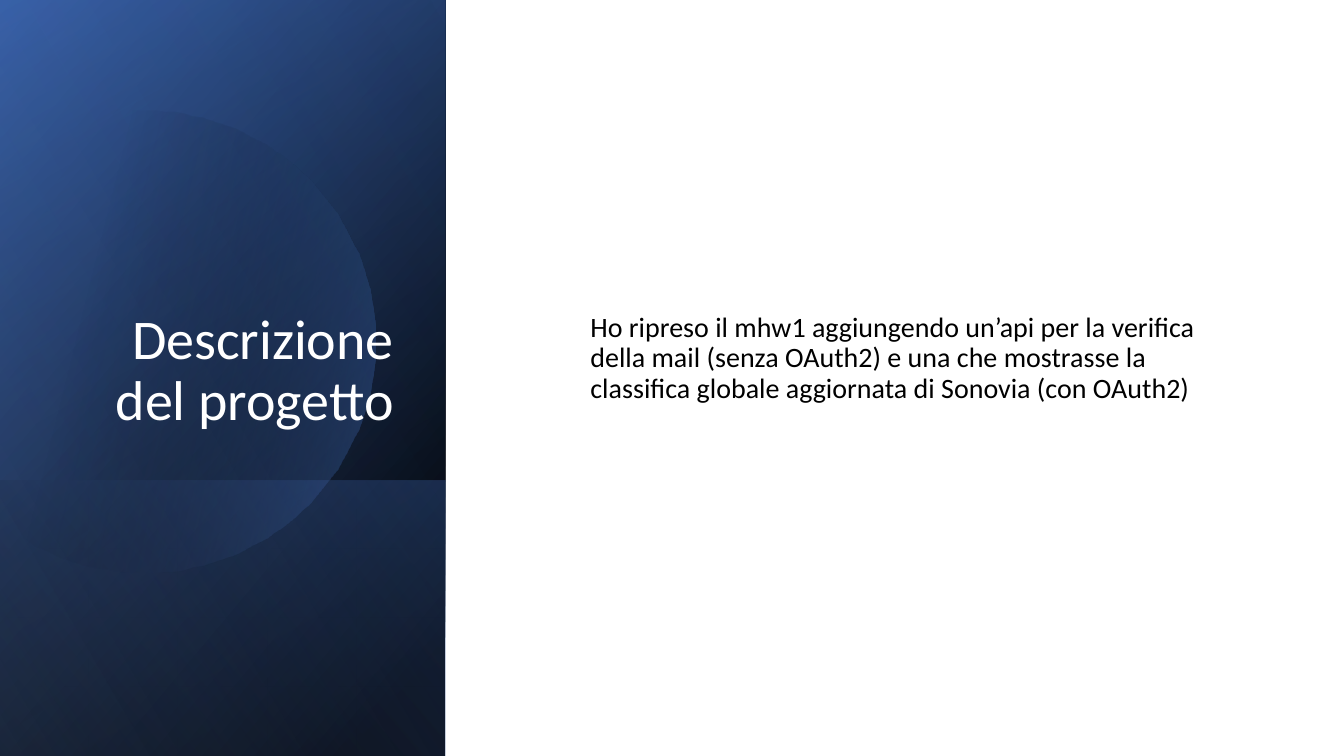
from math import acos, cos, degrees, radians, sin

from lxml.etree import SubElement
from pptx import Presentation
from pptx.dml.color import RGBColor
from pptx.enum.shapes import MSO_SHAPE as Shape
from pptx.enum.text import MSO_ANCHOR as Anchor, MSO_AUTO_SIZE as AutoSize, PP_ALIGN as Align
from pptx.oxml.ns import qn
from pptx.util import Pt

COLORS = {"white": "FFFFFF", "black": "000000", "navy": "2F5597", "blue": "4472C4", "pale": "8FAADC"}
WIDTH, HEIGHT = 960, 540
PANEL_WIDTH = 318


def color(name):
    """Return the palette colour of that name."""
    return RGBColor.from_string(COLORS[name])


def paint_gradient(shape, stops, angle):
    """Fill a shape with two (position, colour, opacity) stops, angle clockwise."""
    shape.shadow.inherit = False
    shape.line.fill.background()
    shape.fill.gradient()
    shape.fill.gradient_angle = 360 - angle
    for stop, (position, name, opacity) in zip(shape.fill.gradient_stops, stops):
        stop.position = position / 100
        stop.color.rgb = color(name)
    for node, (_, _, opacity) in zip(shape._element.spPr.iter(qn("a:srgbClr")), stops):
        if opacity < 100:
            SubElement(node, qn("a:alpha")).set("val", str(opacity * 1000))


def add_layer(page, box, stops, angle):
    """Cover the box with a mirrored rectangle turned a quarter."""
    left, top, width, height = box
    shift = (width - height) / 2
    layer = page.shapes.add_shape(Shape.RECTANGLE, Pt(left + shift), Pt(top - shift), Pt(height), Pt(width))
    layer.rotation = 90
    layer._element.spPr.find(qn("a:xfrm")).set("flipH", "1")
    paint_gradient(layer, stops, angle)


def add_disc(page, center, radius, cut, stops, angle):
    """Draw a disc cut off by a vertical edge at the left."""
    limit = degrees(acos((cut - center[0]) / radius))
    steps = 120
    turns = [radians(-limit + 2 * limit * step / steps) for step in range(steps + 1)]
    points = [(center[0] + radius * cos(turn), center[1] + radius * sin(turn)) for turn in turns]
    builder = page.shapes.build_freeform(*points[0], scale=Pt(1))
    builder.add_line_segments(points[1:], close=True)
    paint_gradient(builder.convert_to_shape(), stops, angle)


def write_text(shape, text, size, tint, align=Align.LEFT, anchor=Anchor.MIDDLE, indent=0, before=0, bottom=3.6):
    """Write one formatted paragraph into a shape."""
    frame = shape.text_frame
    frame.word_wrap = True
    frame.auto_size = AutoSize.NONE
    frame.vertical_anchor = anchor
    frame.margin_left = Pt(7.2 + indent)
    frame.margin_right = Pt(7.2)
    frame.margin_top, frame.margin_bottom = Pt(3.6), Pt(bottom)
    para = frame.paragraphs[0]
    para.alignment = align
    para.line_spacing = 0.9
    para.space_before = Pt(before)
    span = para.add_run()
    span.text = text
    span.font.name = "Calibri"
    span.font.size = Pt(size)
    span.font.color.rgb = color(tint)


def add_panel(page, box):
    """Build the blue side panel with its title."""
    left, top, width, height = box
    band = (left, top + 343, width, height - 343)
    add_layer(page, box, [(8, "black", 100), (100, "navy", 100)], 50)
    add_layer(page, box, [(0, "black", 0), (99, "blue", 46)], 30)
    add_layer(page, band, [(2, "blue", 29), (100, "black", 30)], 130)
    add_disc(page, (left + 103, top + 244), 165, left - 11,
             [(29, "black", 0), (100, "blue", 43)], 13.9)
    add_layer(page, box, [(0, "black", 0), (99, "pale", 11)], 120)
    title = page.shapes.title
    page.shapes._spTree.append(title._element)
    title.left, title.top = Pt(left + 36.5), Pt(top + 46)
    title.width, title.height = Pt(252), Pt(266.5)
    write_text(title, "Descrizione del progetto", 40, "white", align=Align.RIGHT, anchor=Anchor.BOTTOM)


def add_description(page, box):
    """Place the project description in the white area."""
    left, top, width, height = box
    body = page.shapes.add_textbox(Pt(left + 60.5), Pt(top + 51), Pt(width - 126), Pt(height - 103))
    write_text(body, "Ho ripreso il mhw1 aggiungendo un’api per la verifica della mail (senza OAuth2) "
               "e una che mostrasse la classifica globale aggiornata di Sonovia (con OAuth2)",
               20, "black", indent=36, before=5, bottom=30)


def add_backdrop(page, box):
    """Lay a plain white sheet over the box."""
    sheet = page.shapes.add_shape(Shape.RECTANGLE, *map(Pt, box))
    sheet.shadow.inherit = False
    sheet.line.fill.background()
    sheet.fill.solid()
    sheet.fill.fore_color.rgb = color("white")


def main():
    """Build and save the deck."""
    deck = Presentation()
    deck.slide_width, deck.slide_height = Pt(WIDTH), Pt(HEIGHT)
    page = deck.slides.add_slide(deck.slide_layouts[5])
    add_backdrop(page, (0, 0, WIDTH, HEIGHT))
    add_panel(page, (0, 0, PANEL_WIDTH, HEIGHT))
    add_description(page, (PANEL_WIDTH, 0, WIDTH - PANEL_WIDTH, HEIGHT))
    deck.save("out.pptx")


if __name__ == "__main__":
    main()
